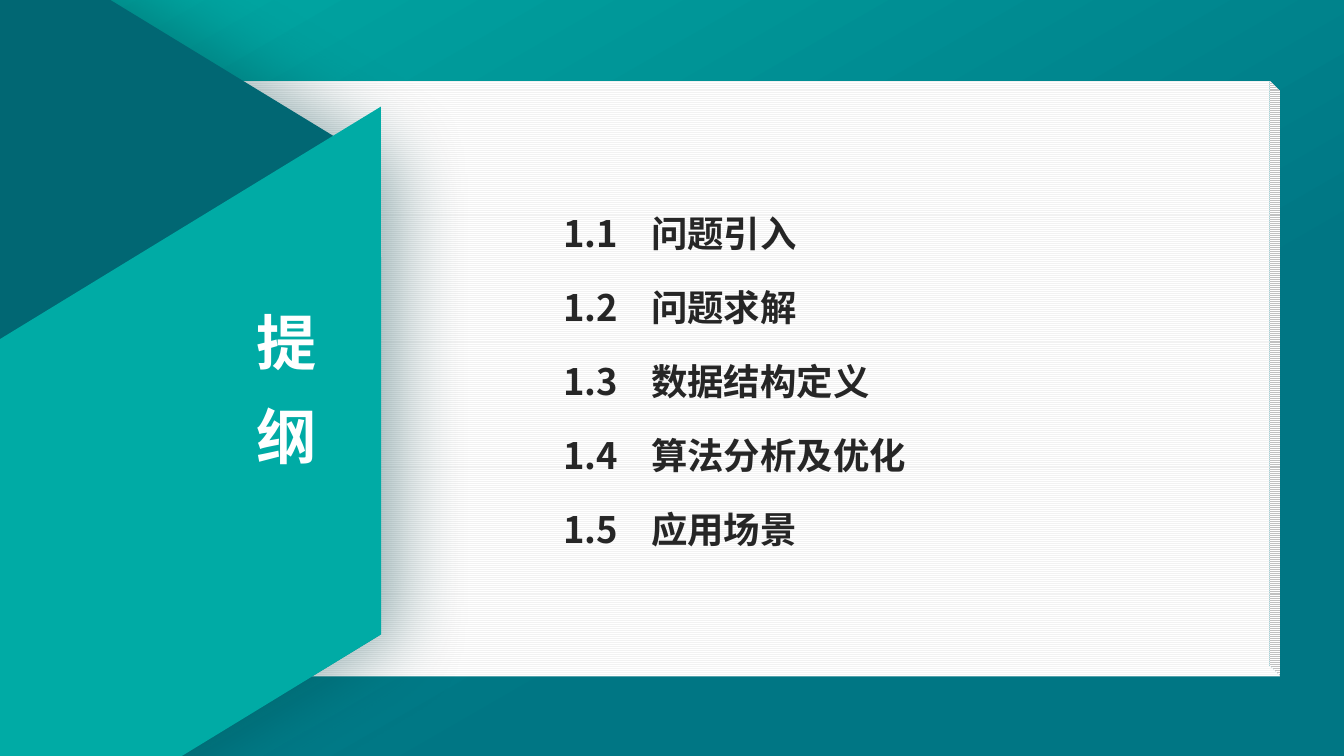
import pptx
import pptx.util
import pptx.dml.color
import pptx.enum.dml
import pptx.enum.shapes
import pptx.enum.text
import pptx.oxml.ns
import lxml.etree

RGBColor = pptx.dml.color.RGBColor
Shape = pptx.enum.shapes.MSO_SHAPE
Inches = pptx.util.Inches
Pt = pptx.util.Pt

TEAL = RGBColor(0x00, 0xAB, 0xA5)
DEEP_TEAL = RGBColor(0x00, 0x76, 0x84)
DARK_TEAL = RGBColor(0x01, 0x67, 0x73)
SHADE = RGBColor(0x01, 0x3F, 0x45)
PAPER_LINE = RGBColor(0xF2, 0xF2, 0xF2)
WHITE = RGBColor(0xFF, 0xFF, 0xFF)
BLACK = RGBColor(0x00, 0x00, 0x00)
INK = RGBColor(0x26, 0x26, 0x26)
FONT = "Noto Sans CJK SC"

TITLE = "提纲"
CHAPTER = 1
TOPICS = ["问题引入", "问题求解", "数据结构定义", "算法分析及优化", "应用场景"]
PANELS = {
    "paper": (Shape.CUBE, (0, 0.8, 12.7, 5.91), 0, [0.018]),
    "hexagon": (Shape.HEXAGON, (-6.21, -0.79, 10.46, 9.51), 90, [0.305, 1.155]),
    "ribbon": (Shape.PARALLELOGRAM, (-2.74, 2.89, 8.29, 4.47), 328.6, [0.61]),
}
TITLE_AREA = (2.34, 2.8, 1, 1.9)
TOPIC_AREA = (5.49, 1.88, 4.23, 3.59)
TITLE_FORMAT = {"size": Pt(43), "bold": True, "name": FONT}
TOPIC_FORMAT = {"size": Pt(26), "bold": True, "name": FONT}


def add_element(parent, tag, **attributes):
    element = lxml.etree.SubElement(parent, pptx.oxml.ns.qn(tag))
    for name, value in attributes.items():
        element.set(name, str(value))
    return element


def add_shadow(effects, color, opacity, blur, distance, angle):
    shadow = add_element(effects, "a:outerShdw", blurRad=Pt(blur), dist=Pt(distance),
                         dir=angle * 60000, algn="ctr", rotWithShape=0)
    shade = add_element(shadow, "a:srgbClr", val=color)
    add_element(shade, "a:alpha", val=opacity * 1000)


def fill_gradient(fill, stops, angle):
    fill.gradient()
    fill.gradient_angle = angle
    for stop, (position, color) in zip(fill.gradient_stops, stops):
        stop.position = position
        stop.color.rgb = color


def add_panel(page, kind, area, rotation, adjustments):
    panel = page.shapes.add_shape(kind, *map(Inches, area))
    panel.rotation = rotation
    panel.shadow.inherit = False
    panel.line.fill.background()
    for index, value in enumerate(adjustments):
        panel.adjustments[index] = value
    return panel


def add_text_box(page, area, margins):
    frame = page.shapes.add_textbox(*map(Inches, area)).text_frame
    frame.word_wrap = True
    sides = ("margin_left", "margin_top", "margin_right", "margin_bottom")
    for side, margin in zip(sides, margins):
        setattr(frame, side, Inches(margin))
    return frame


def add_span(para, text, color, formats):
    span = para.add_run()
    span.text = text
    for name, value in formats.items():
        setattr(span.font, name, value)
    span.font.color.rgb = color
    add_element(span.font._element, "a:ea", typeface=FONT)
    return span


def next_para(frame, index):
    return frame.add_paragraph() if index else frame.paragraphs[0]


def main():
    deck = pptx.Presentation()
    deck.slide_width, deck.slide_height = Inches(13.33), Inches(7.5)
    page = deck.slides.add_slide(deck.slide_layouts[6])
    fill_gradient(page.background.fill, [(0, TEAL), (0.67, DEEP_TEAL)], 300)

    panels = {name: add_panel(page, *parts) for name, parts in PANELS.items()}
    paper = panels["paper"]
    paper._element.spPr.xfrm.set("flipV", "1")
    paper.fill.patterned()
    paper.fill.pattern = pptx.enum.dml.MSO_PATTERN.LIGHT_HORIZONTAL
    paper.fill.fore_color.rgb = PAPER_LINE
    paper.fill.back_color.rgb = WHITE

    hexagon = panels["hexagon"]
    fill_gradient(hexagon.fill, [(0.77, DARK_TEAL), (1, DEEP_TEAL)], 270)
    effects = hexagon._element.spPr.find(pptx.oxml.ns.qn("a:effectLst"))
    add_shadow(effects, SHADE, 40, 55, 13, 0)

    panels["ribbon"].fill.solid()
    panels["ribbon"].fill.fore_color.rgb = TEAL

    frame = add_text_box(page, TITLE_AREA, (0, 0, 0, 0))
    frame.vertical_anchor = pptx.enum.text.MSO_ANCHOR.MIDDLE
    for index, letter in enumerate(TITLE):
        para = next_para(frame, index)
        para.alignment = pptx.enum.text.PP_ALIGN.CENTER
        para.line_spacing = Pt(67)
        span = add_span(para, letter, WHITE, TITLE_FORMAT)
        effects = lxml.etree.Element(pptx.oxml.ns.qn("a:effectLst"))
        span.font._element.insert(1, effects)
        add_shadow(effects, BLACK, 43, 3, 3, 45)

    frame = add_text_box(page, TOPIC_AREA, (0.1, 0, 0.1, 0.05))
    for index, topic in enumerate(TOPICS):
        para = next_para(frame, index)
        para.line_spacing = 1.5
        para.space_before = Pt(6 if index else 0)
        tabs = add_element(para._p.get_or_add_pPr(), "a:tabLst")
        add_element(tabs, "a:tab", pos=Inches(0.87), algn="l")
        add_span(para, f"{CHAPTER}.{index + 1}\t{topic}", INK, TOPIC_FORMAT)

    deck.save("out.pptx")


if __name__ == "__main__":
    main()
